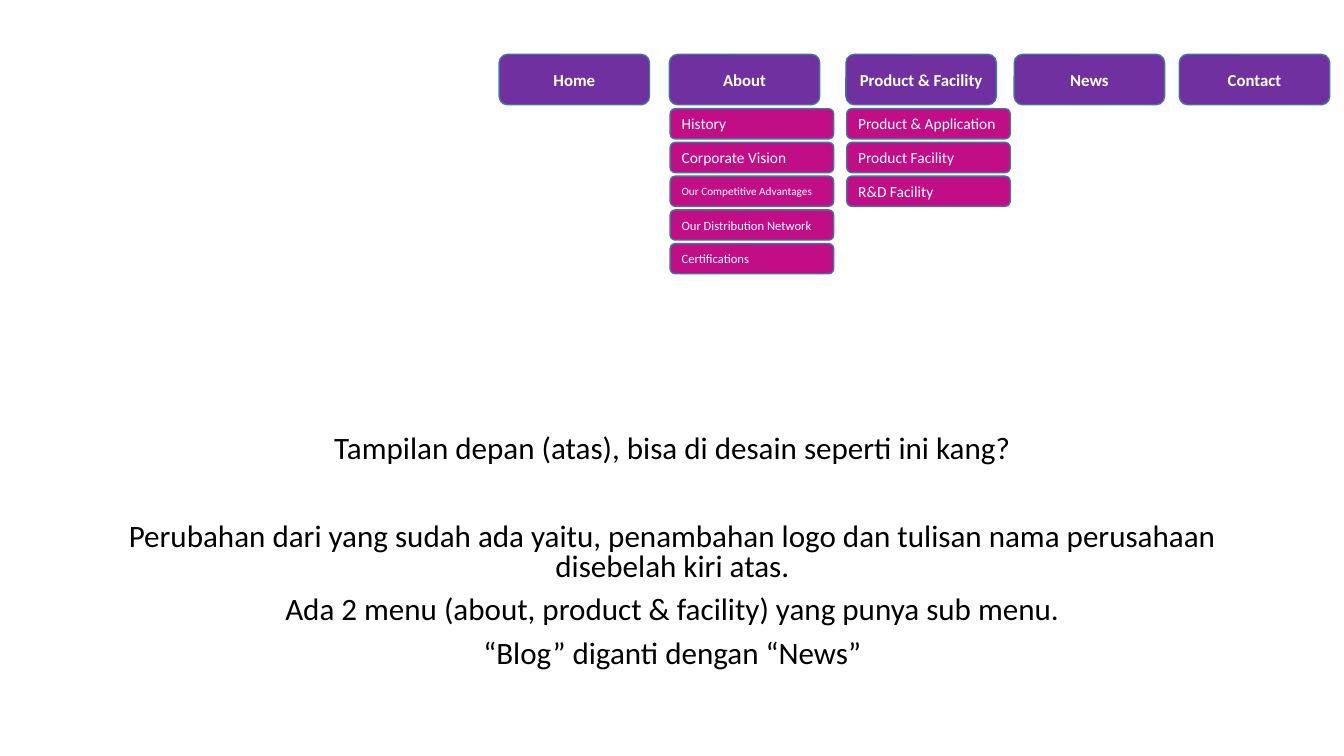
from pptx import Presentation
from pptx.dml.color import RGBColor
from pptx.enum.shapes import MSO_SHAPE
from pptx.enum.text import MSO_ANCHOR, PP_ALIGN
from pptx.util import Cm, Pt

COLORS = {"menu": "7030A0", "submenu": "C20E86", "border": "43739E",
          "light": "FFFFFF", "dark": "000000"}

# label, left in cm, submenu items with their text size
MENUS = [
    ("Home", 12.58, []),
    ("About", 16.87, [("History", 11), ("Corporate Vision", 11),
                      ("Our Competitive Advantages", 8),
                      ("Our Distribution Network", 9), ("Certifications", 9)]),
    ("Product & Facility", 21.32, [("Product & Application", 11),
                                   ("Product Facility", 11), ("R&D Facility", 11)]),
    ("News", 25.56, []),
    ("Contact", 29.72, []),
]
MENU_TOP, MENU_W, MENU_H = 1.37, 3.79, 1.27
SUB_TOP, SUB_W, SUB_H, SUB_STEP = 2.74, 4.12, 0.76, 0.85

# text, space before in points
NOTES = [
    ("Tampilan depan (atas), bisa di desain seperti ini kang?", 10),
    ("Perubahan dari yang sudah ada yaitu, penambahan logo dan tulisan nama "
     "perusahaan disebelah kiri atas.", 41.4),
    ("Ada 2 menu (about, product & facility) yang punya sub menu.", 10),
    ("“Blog” diganti dengan “News”", 10),
]


def rgb(name):
    return RGBColor.from_string(COLORS[name])


def write(p, text, align, color, **font):
    p.alignment = align
    r = p.add_run()
    r.text = text
    r.font.color.rgb = rgb(color)
    for key, value in {"name": "Calibri", **font}.items():
        setattr(r.font, key, value)


def add_button(s, text, box, fill, align, **font):
    sp = s.shapes.add_shape(MSO_SHAPE.ROUNDED_RECTANGLE, *map(Cm, box))
    sp.shadow.inherit = False
    sp.fill.solid()
    sp.fill.fore_color.rgb = rgb(fill)
    sp.line.color.rgb = rgb("border")
    sp.line.width = Pt(1)
    tf = sp.text_frame
    tf.word_wrap = True
    tf.vertical_anchor = MSO_ANCHOR.MIDDLE
    write(tf.paragraphs[0], text, align, "light", **font)


def add_menu(s, label, left, items):
    """Draw a menu button with its submenu stacked below."""
    add_button(s, label, (left, MENU_TOP, MENU_W, MENU_H), "menu",
               PP_ALIGN.CENTER, size=Pt(12), bold=True)
    for i, (item, size) in enumerate(items):
        add_button(s, item, (left + 0.02, SUB_TOP + i * SUB_STEP, SUB_W, SUB_H),
                   "submenu", PP_ALIGN.LEFT, size=Pt(size))


def add_notes(s):
    tf = s.shapes.add_textbox(Cm(2.34), Cm(10.85), Cm(29.21), Cm(6.32)).text_frame
    tf.word_wrap = True
    for i, (text, before) in enumerate(NOTES):
        p = tf.add_paragraph() if i else tf.paragraphs[0]
        p.line_spacing = 0.8
        p.space_before = Pt(before)
        write(p, text, PP_ALIGN.CENTER, "dark", size=Pt(22.2))


def main():
    prs = Presentation()
    prs.slide_width, prs.slide_height = Cm(33.87), Cm(19.05)
    s = prs.slides.add_slide(prs.slide_layouts[6])
    for menu in MENUS:
        add_menu(s, *menu)
    add_notes(s)
    prs.save("out.pptx")


if __name__ == "__main__":
    main()
